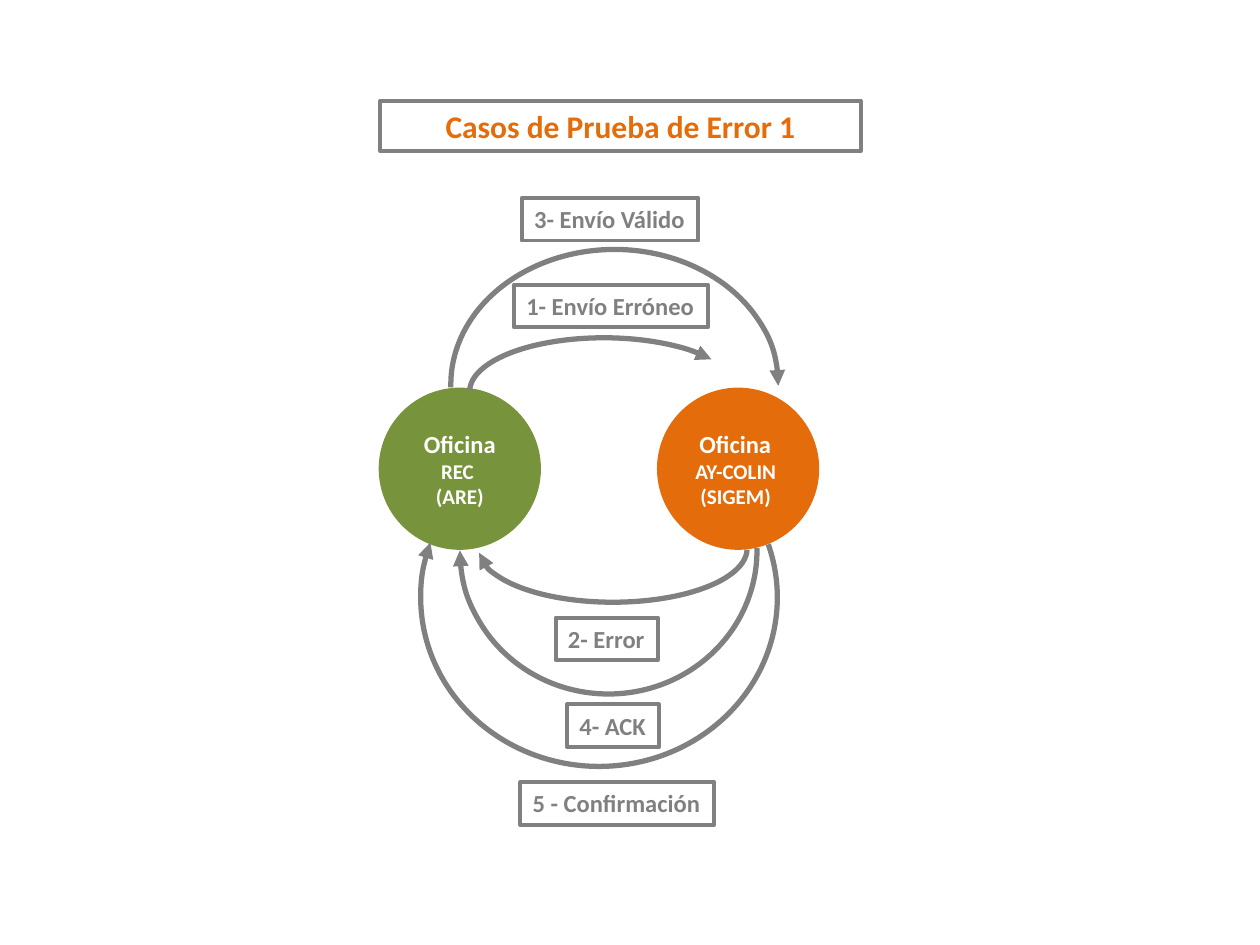
from pptx import Presentation
from pptx.dml.color import RGBColor
from pptx.enum.shapes import MSO_SHAPE as Shape
from pptx.enum.text import MSO_ANCHOR as Anchor, MSO_AUTO_SIZE as AutoSize, PP_ALIGN as Align
from pptx.util import Cm, Pt
from lxml.etree import SubElement
from pptx.oxml.ns import qn

GRAY, GREEN, ORANGE, WHITE = "808080", "77933C", "E46C0A", "FFFFFF"
LABEL_HEIGHT = 0.86


def color(value):
    """Turn a hex string into a colour."""
    return RGBColor.from_string(value)


def set_font(font, size, value):
    """Apply the bold Calibri style of the slide."""
    font.name, font.size, font.bold = "Calibri", Pt(size), True
    font.color.rgb = color(value)


def add_label(page, box, text, size=14, value=GRAY, centered=False):
    """Add a framed text box."""
    label = page.shapes.add_textbox(*map(Cm, box))
    label.line.color.rgb = color(GRAY)
    label.line.width = Pt(2.25)
    frame = label.text_frame
    frame.word_wrap = centered
    frame.auto_size = AutoSize.SHAPE_TO_FIT_TEXT
    para = frame.paragraphs[0]
    para.text = text
    para.alignment = Align.CENTER if centered else Align.LEFT
    set_font(para.font, size, value)


def add_arc(page, box, start, end, rotation):
    """Add an arc with an arrowhead, its angles given in degrees."""
    arc = page.shapes.add_shape(Shape.ARC, *map(Cm, box))
    arc.adjustments[0], arc.adjustments[1] = start * 0.6, end * 0.6
    arc.rotation = rotation
    arc.shadow.inherit = False
    arc.fill.background()
    arc.line.color.rgb = color(GRAY)
    arc.line.width = Pt(3)
    SubElement(arc.line._get_or_add_ln(), qn("a:tailEnd"), type="triangle")


def add_office(page, box, value, paragraphs):
    """Add an office circle with its lines of text."""
    circle = page.shapes.add_shape(Shape.OVAL, *map(Cm, box))
    circle.shadow.inherit = False
    circle.fill.solid()
    circle.fill.fore_color.rgb = circle.line.color.rgb = color(value)
    circle.line.width = Pt(2)
    frame = circle.text_frame
    frame.word_wrap = True
    frame.vertical_anchor = Anchor.MIDDLE
    for index, runs in enumerate(paragraphs):
        para = frame.add_paragraph() if index else frame.paragraphs[0]
        para.alignment = Align.CENTER
        for text, size in runs:
            span = para.add_run()
            span.text = text
            set_font(span.font, size, WHITE)


def add_offices(page, left, top):
    """Place the two offices side by side."""
    size, pitch = 3.2, 5.61
    add_office(page, (left, top, size, size), GREEN,
               [[("Oficina ", 14), ("REC ", 12)], [("(ARE)", 12)]])
    add_office(page, (left + pitch, top, size, size), ORANGE,
               [[("Oficina ", 14)], [("AY-COLIN ", 12)], [("(SIGEM) ", 12)]])


def add_exchange(page, left, top, messages, rotation):
    """Place the arcs and labels of the messages going one way."""
    for text, (x, y, width), arc, start, end in messages:
        arc_x, arc_y, *arc_size = arc
        add_arc(page, (left + arc_x, top + arc_y, *arc_size), start, end, rotation)
        add_label(page, (left + x, top + y, width, LABEL_HEIGHT), text)


def main():
    """Build the slide."""
    deck = Presentation()
    deck.slide_width, deck.slide_height = Cm(25.4), Cm(19.05)
    page = deck.slides.add_slide(deck.slide_layouts[6])
    add_label(page, (7.67, 2.03, 9.68, 1.02), "Casos de Prueba de Error 1",
              18, ORANGE, centered=True)
    add_offices(page, 7.67, 7.85)
    sent = [
        ("1- Envío Erróneo", (1.27, 1.75, 3.91), (0.38, 2.82, 5.41, 2.16), 180.46, 343.4),
        ("3- Envío Válido", (1.43, 0, 3.56), (0, 1.04, 6.6, 5.44), 178.93, 0.5),
    ]
    returned = [
        ("2- Error", (2.72, 4.25, 2.06), (1.17, 1.78, 5.41, 2.16), 180.46, 358.23),
        ("4- ACK", (2.95, 6, 1.85), (0.79, 0, 5.99, 5.79), 179.15, 0),
        ("5 - Confirmación", (2.01, 7.57, 3.91), (0, 0.44, 7.19, 6.81), 162.54, 18.07),
    ]
    add_exchange(page, 9.09, 3.99, sent, 0)
    add_exchange(page, 8.48, 8.2, returned, 180)
    deck.save("out.pptx")


if __name__ == "__main__":
    main()
